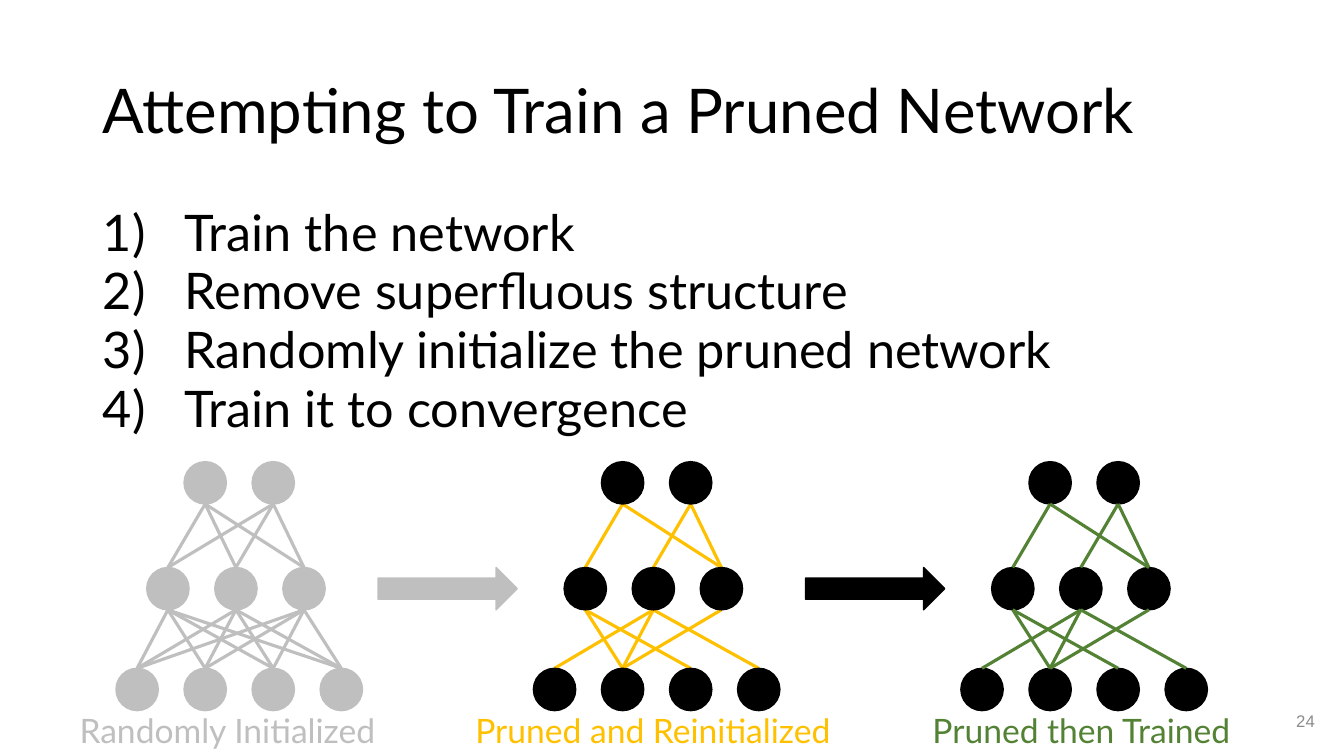
from dataclasses import dataclass

from lxml import etree
from pptx import Presentation
from pptx import util as u
from pptx.dml.color import RGBColor
from pptx.enum import shapes, text
from pptx.oxml import ns

BLACK = RGBColor(0x00, 0x00, 0x00)
GRAY = RGBColor(0xBF, 0xBF, 0xBF)
GOLD = RGBColor(0xFF, 0xC0, 0x00)
GREEN = RGBColor(0x54, 0x82, 0x35)
NUMBER_GRAY = RGBColor(0x8C, 0x8C, 0x8C)

LEFT, CENTER, RIGHT = text.PP_ALIGN.LEFT, text.PP_ALIGN.CENTER, text.PP_ALIGN.RIGHT
TOP, MIDDLE, BOTTOM = (text.MSO_ANCHOR.TOP, text.MSO_ANCHOR.MIDDLE,
                       text.MSO_ANCHOR.BOTTOM)

NODE = 0.42
PITCH = 0.675

Box = tuple[float, float, float, float]
Links = list[tuple[int, int]]


@dataclass(frozen=True)
class Layer:
    count: int
    offset: float
    top: float


@dataclass(frozen=True)
class Network:
    left: float
    node_color: RGBColor
    link_color: RGBColor
    lower_links: Links  # (input node, hidden node)
    upper_links: Links  # (hidden node, output node)
    links_on_top: bool = False


@dataclass(frozen=True)
class Label:
    words: str
    box: Box
    color: RGBColor
    size: float = 24
    font: str = "Lato"
    align: text.PP_ALIGN = CENTER
    anchor: text.MSO_ANCHOR = BOTTOM
    spacing: float = 0.9


INPUT = Layer(4, 0, 6.63)
HIDDEN = Layer(3, 0.305, 5.63)
OUTPUT = Layer(2, PITCH, 4.58)

FULL_LOWER = [(i, h) for i in range(4) for h in range(3)]
FULL_UPPER = [(h, o) for h in range(3) for o in range(2)]
PRUNED_LOWER = [(1, 0), (0, 1), (1, 1), (2, 0), (3, 1), (1, 2)]
PRUNED_UPPER = [(0, 0), (2, 0), (1, 1), (2, 1)]

NETWORKS = [
    Network(1.15, GRAY, GRAY, FULL_LOWER, FULL_UPPER),
    Network(5.29, BLACK, GOLD, PRUNED_LOWER, PRUNED_UPPER),
    Network(9.53, BLACK, GREEN, PRUNED_LOWER, PRUNED_UPPER, links_on_top=True),
]
ARROWS = [(3.75, GRAY), (7.99, BLACK)]
LABELS = [
    Label("Randomly Initialized", (0.69, 6.94, 3.29, 0.56), GRAY, align=LEFT),
    Label("Pruned and Reinitialized", (4.49, 6.94, 3.97, 0.56), GOLD),
    Label("Pruned then Trained", (9.08, 6.94, 3.29, 0.56), GREEN),
    Label("24", (12.66, 6.95, 0.48, 0.4), NUMBER_GRAY, 12, "Arial", RIGHT, MIDDLE, 1.0),
]
STEPS = [
    "Train the network",
    "Remove superfluous structure",
    "Randomly initialize the pruned network",
    "Train it to convergence",
]


def set_all(target, values: dict) -> None:
    for name, value in values.items():
        setattr(target, name, value)


def place(sp, box: Box) -> None:
    names = ("left", "top", "width", "height")
    set_all(sp, dict(zip(names, map(u.Inches, box))))


def format_frame(tf, anchor) -> None:
    set_all(tf, {"word_wrap": True, "auto_size": text.MSO_AUTO_SIZE.NONE,
                 "vertical_anchor": anchor})


def write(p, words: str, size: float, color: RGBColor, font: str = "Lato",
          align=LEFT, spacing: float = 0.9, before: float = 0) -> None:
    r = p.add_run()
    r.text = words
    set_all(p, {"alignment": align, "line_spacing": spacing,
                "space_before": u.Pt(before)})
    set_all(r.font, {"name": font, "size": u.Pt(size)})
    r.font.color.rgb = color


def number(p) -> None:
    pPr = p._p.get_or_add_pPr()
    pPr.set("marL", str(u.Inches(0.81)))
    pPr.set("indent", str(-u.Inches(0.81)))
    etree.SubElement(pPr, ns.qn("a:buFont"), typeface="Lato")
    etree.SubElement(pPr, ns.qn("a:buAutoNum"), type="arabicParenR")


def add_filled(s, kind, box: Box, color: RGBColor) -> None:
    sp = s.shapes.add_shape(kind, *map(u.Inches, box))
    sp.shadow.inherit = False
    sp.fill.solid()
    sp.fill.fore_color.rgb = color
    sp.line.color.rgb = color
    sp.line.width = u.Pt(1)


def node_left(net: Network, layer: Layer, index: int) -> float:
    return net.left + layer.offset + index * PITCH


def add_nodes(s, net: Network) -> None:
    for layer in (INPUT, HIDDEN, OUTPUT):
        for i in range(layer.count):
            box = (node_left(net, layer, i), layer.top, NODE, NODE)
            add_filled(s, shapes.MSO_SHAPE.OVAL, box, net.node_color)


def add_links(s, net: Network) -> None:
    for lower, upper, links in ((INPUT, HIDDEN, net.lower_links),
                                (HIDDEN, OUTPUT, net.upper_links)):
        for i, j in links:
            ends = (node_left(net, lower, i) + NODE / 2, lower.top,
                    node_left(net, upper, j) + NODE / 2, upper.top + NODE)
            link = s.shapes.add_connector(shapes.MSO_CONNECTOR.STRAIGHT,
                                          *map(u.Inches, ends))
            link.line.color.rgb = net.link_color
            link.line.width = u.Pt(2.25)
            etree.SubElement(link._element.spPr, ns.qn("a:effectLst"))


def add_label(s, label: Label) -> None:
    tf = s.shapes.add_textbox(*map(u.Inches, label.box)).text_frame
    format_frame(tf, label.anchor)
    write(tf.paragraphs[0], label.words, label.size, label.color, label.font,
          label.align, label.spacing)


def main() -> None:
    prs = Presentation()
    prs.slide_width, prs.slide_height = u.Inches(13.33), u.Inches(7.5)
    s = prs.slides.add_slide(prs.slide_layouts[1])

    # Title
    title = s.shapes.title
    place(title, (0.92, 0.4, 11.79, 1.45))
    format_frame(title.text_frame, MIDDLE)
    write(title.text_frame.paragraphs[0], "Attempting to Train a Pruned Network",
          44, BLACK)

    # Numbered steps
    body = s.placeholders[1]
    place(body, (0.92, 2.01, 12.41, 4.62))
    tf = body.text_frame
    format_frame(tf, TOP)
    for i, step in enumerate(STEPS):
        p = tf.add_paragraph() if i else tf.paragraphs[0]
        number(p)
        write(p, step, 36, BLACK, before=3 if i else 0)

    # Networks
    for net in NETWORKS:
        parts = (add_nodes, add_links) if net.links_on_top else (add_links, add_nodes)
        for add_part in parts:
            add_part(s, net)

    # Arrows between the networks
    for left, color in ARROWS:
        add_filled(s, shapes.MSO_SHAPE.RIGHT_ARROW, (left, HIDDEN.top, 1.38, NODE), color)

    # Captions and slide number
    for label in LABELS:
        add_label(s, label)

    prs.save("out.pptx")


if __name__ == "__main__":
    main()
